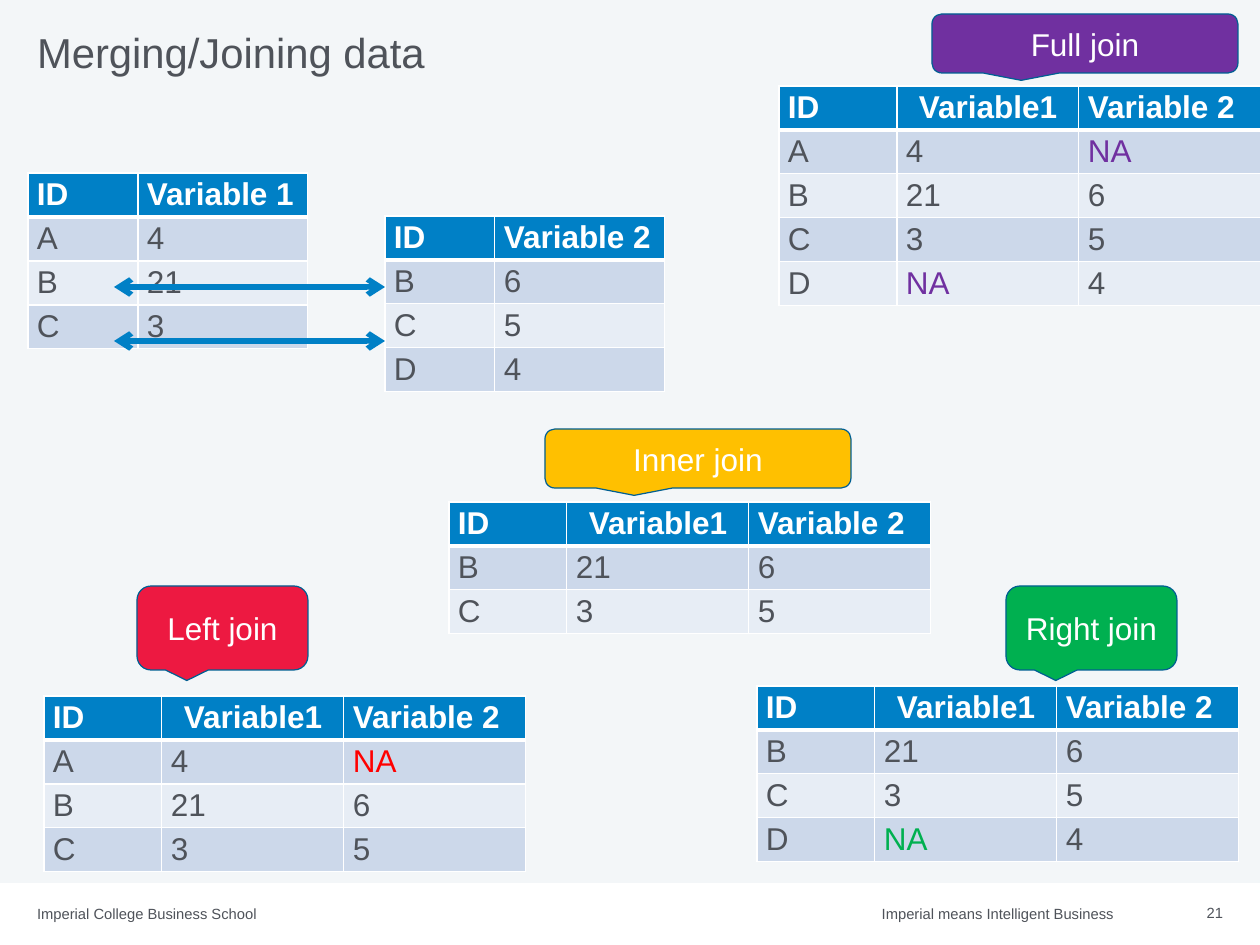
"""Build the slide that compares full, inner, left and right joins of two tables."""
from lxml import etree
from pptx import Presentation
from pptx.dml.color import RGBColor
from pptx.enum.shapes import MSO_CONNECTOR, MSO_SHAPE
from pptx.enum.text import MSO_ANCHOR, MSO_AUTO_SIZE, PP_ALIGN
from pptx.oxml.ns import qn
from pptx.util import Pt

PX = 914400 / 88.6
RECTANGLE, CALLOUT = MSO_SHAPE.RECTANGLE, MSO_SHAPE.ROUNDED_RECTANGULAR_CALLOUT
STRAIGHT = MSO_CONNECTOR.STRAIGHT
LEFT, CENTER, RIGHT = PP_ALIGN.LEFT, PP_ALIGN.CENTER, PP_ALIGN.RIGHT
TOP, MIDDLE = MSO_ANCHOR.TOP, MSO_ANCHOR.MIDDLE
NO_AUTOFIT = MSO_AUTO_SIZE.NONE

WHITE = RGBColor(0xFF, 0xFF, 0xFF)
GREY = RGBColor(0x4F, 0x53, 0x5A)
PALE = RGBColor(0xF3, 0xF6, 0xF8)
BLUE = RGBColor(0x00, 0x80, 0xC6)
NAVY = RGBColor(0x00, 0x5F, 0x92)
BANDS = RGBColor(0xE7, 0xED, 0xF5), RGBColor(0xCC, 0xD8, 0xEA)
CRIMSON = RGBColor(0xED, 0x19, 0x41)
RED = RGBColor(0xFF, 0x00, 0x00)
GREEN = RGBColor(0x00, 0xB0, 0x50)
AMBER = RGBColor(0xFF, 0xC0, 0x00)
PURPLE = RGBColor(0x70, 0x30, 0xA0)

ROW_HEIGHT = 44
PAIR_COLUMNS = 110, 170
JOIN_COLUMNS = 118, 182, 182
JOIN_HEADER = "ID", "Variable1", "Variable 2"
A, B, C, D = ("A", "4", "NA"), ("B", "21", "6"), ("C", "3", "5"), ("D", "NA", "4")


def px(*lengths):
    """Turn pixel lengths into EMU."""
    return [round(length * PX) for length in lengths]


def write(frame, text, size=25.6, color=GREY, bold=False, align=LEFT):
    """Fill a text frame with one formatted paragraph."""
    frame.word_wrap = True
    paragraph = frame.paragraphs[0]
    paragraph.text = text
    paragraph.alignment = align
    font = paragraph.runs[0].font
    font.name, font.size, font.bold = "Arial", Pt(size), bold
    font.color.rgb = color
    return paragraph


deck = Presentation()
deck.slide_width, deck.slide_height = px(1260, 945)
slide = deck.slides.add_slide(deck.slide_layouts[5])
shapes = slide.shapes

title = shapes.title
title.left, title.top, title.width, title.height = px(37, 30, 1186, 85)
heading = write(title.text_frame, "Merging/Joining data", size=34)
heading.line_spacing = Pt(38)

backdrop = shapes.add_shape(RECTANGLE, *px(0, 0, 1260, 883))
backdrop.shadow.inherit = False
backdrop.fill.solid()
backdrop.fill.fore_color.rgb = PALE
backdrop.line.fill.background()
title.element.addprevious(backdrop.element)

footers = [
    ("Imperial means Intelligent Business", (774, 905, 340, 18), RIGHT),
    ("Imperial College Business School", (37, 905, 340, 18), LEFT),
    ("21", (1146, 899, 77, 27), RIGHT),
]
footer_boxes = []
for wording, place, align in footers:
    footer = shapes.add_textbox(*px(*place))
    write(footer.text_frame, wording, size=12, align=align)
    footer_boxes.append(footer)

for box, anchor in [(title, TOP)] + [(footer, MIDDLE) for footer in footer_boxes]:
    frame = box.text_frame
    frame.auto_size = NO_AUTOFIT
    frame.vertical_anchor = anchor
    frame.margin_left = frame.margin_right = frame.margin_top = frame.margin_bottom = 0

tables = [
    (28, 173, PAIR_COLUMNS, [("ID", "Variable 1"), A[:2], B[:2], C[:2]], GREY),
    (385, 216, PAIR_COLUMNS, [("ID", "Variable 2"), B[::2], C[::2], D[::2]], GREY),
    (449, 502, JOIN_COLUMNS, [JOIN_HEADER, B, C], GREY),
    (757, 686, JOIN_COLUMNS, [JOIN_HEADER, B, C, D], GREEN),
    (44, 696, JOIN_COLUMNS, [JOIN_HEADER, A, B, C], RED),
    (779, 86, JOIN_COLUMNS, [JOIN_HEADER, A, B, C, D], PURPLE),
]
for left, top, widths, records, missing_color in tables:
    grid = shapes.add_table(
        len(records), len(widths), *px(left, top, sum(widths), ROW_HEIGHT * len(records))
    ).table
    for column, width in zip(grid.columns, px(*widths)):
        column.width = width
    for row, record in enumerate(records):
        grid.rows[row].height = px(ROW_HEIGHT)[0]
        for col, value in enumerate(record):
            cell = grid.cell(row, col)
            cell.margin_top = cell.margin_bottom = px(4)[0]
            properties = cell._tc.get_or_add_tcPr()
            for side in ("lnL", "lnR", "lnT", "lnB"):
                thick = (row, side) in ((0, "lnB"), (1, "lnT"))
                border = etree.SubElement(properties, qn(f"a:{side}"), w=str(Pt(3 if thick else 1)))
                solid = etree.SubElement(border, qn("a:solidFill"))
                etree.SubElement(solid, qn("a:srgbClr"), val=str(WHITE))
            cell.fill.solid()
            cell.fill.fore_color.rgb = BANDS[row % 2] if row else BLUE
            color = missing_color if value == "NA" else GREY
            write(
                cell.text_frame,
                value,
                color=color if row else WHITE,
                bold=row == 0,
                align=CENTER if value == "Variable1" else LEFT,
            )

for match_y in (287, 341):
    match = shapes.add_connector(STRAIGHT, *px(114, match_y, 385, match_y))
    match.line.color.rgb = BLUE
    match.line.width = Pt(4.5)
    outline = match.line._get_or_add_ln()
    for end in ("headEnd", "tailEnd"):
        etree.SubElement(outline, qn(f"a:{end}"), type="arrow")
    etree.SubElement(match._element.spPr, qn("a:effectLst"))

joins = [
    ("Left join", (137, 586, 171, 84), CRIMSON),
    ("Right join", (1006, 586, 171, 84), GREEN),
    ("Inner join", (545, 429, 306, 59), AMBER),
    ("Full join", (932, 14, 306, 59), PURPLE),
]
for name, place, color in joins:
    label = shapes.add_shape(CALLOUT, *px(*place))
    label.shadow.inherit = False
    label.fill.solid()
    label.fill.fore_color.rgb = color
    label.line.color.rgb = NAVY
    label.line.width = Pt(1)
    label.text_frame.vertical_anchor = MIDDLE
    write(label.text_frame, name, color=WHITE, align=CENTER)

deck.save("out.pptx")
